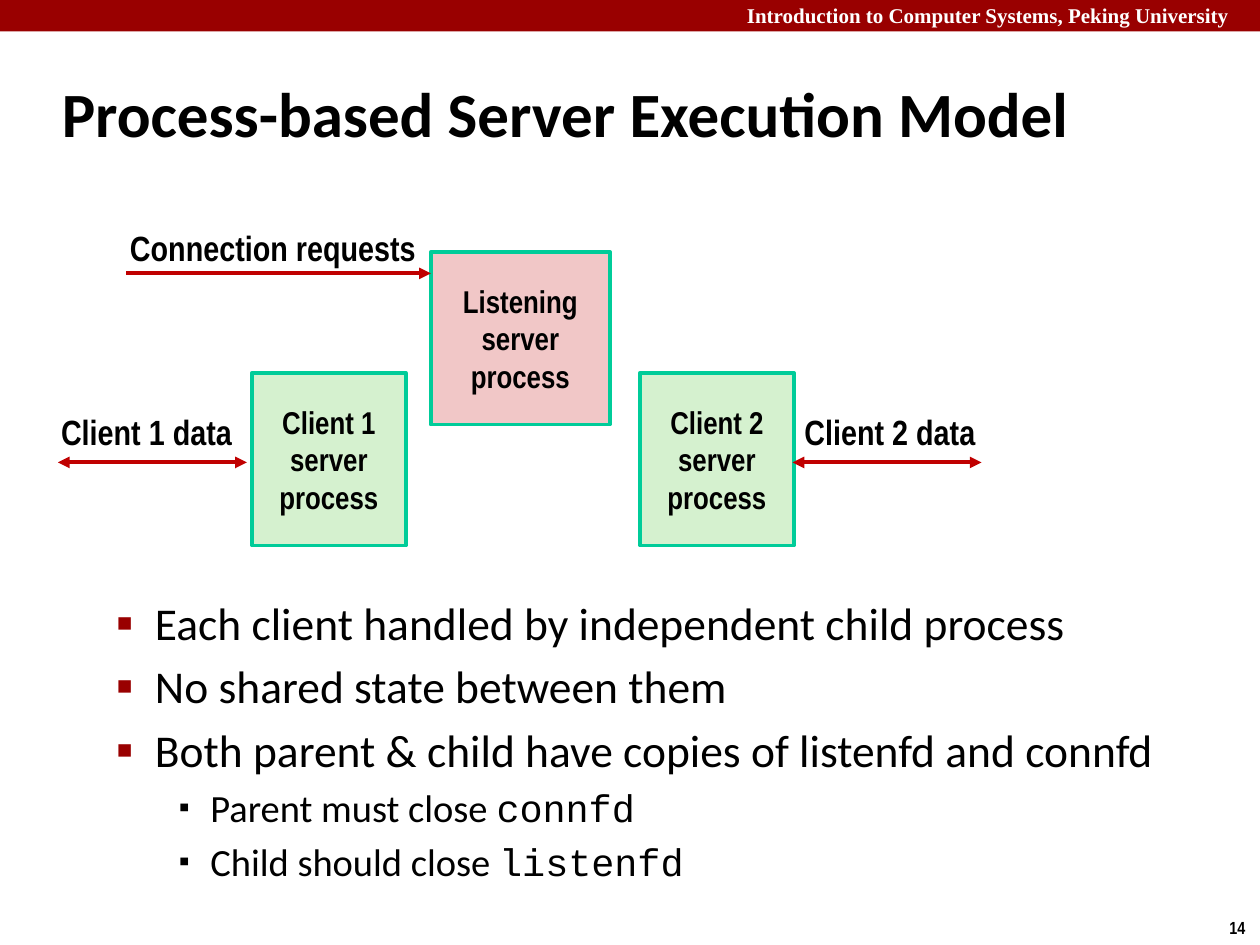
"""Build the slide on the process-based server execution model."""
from lxml.etree import SubElement
from pptx import Presentation
from pptx.dml.color import RGBColor
from pptx.enum.shapes import MSO_CONNECTOR, MSO_SHAPE
from pptx.enum.text import MSO_ANCHOR, MSO_AUTO_SIZE, PP_ALIGN
from pptx.oxml.ns import qn
from pptx.util import Inches, Pt

BLACK = RGBColor(0x00, 0x00, 0x00)
WHITE = RGBColor(0xFF, 0xFF, 0xFF)
DARK_RED = RGBColor(0x99, 0x00, 0x00)
ARROW_RED = RGBColor(0xC0, 0x00, 0x00)
TEAL = RGBColor(0x00, 0xCC, 0x99)
GREEN = RGBColor(0xD5, 0xF1, 0xCF)
PINK = RGBColor(0xF1, 0xC7, 0xC7)


def add_span(para, text, size, name="Arial Narrow", bold=True, color=BLACK):
    span = para.add_run()
    span.text = text
    span.font.size = Pt(size)
    span.font.name = name
    span.font.bold = bold
    span.font.color.rgb = color


def add_rectangle(left, top, width, height, fill):
    box = page.shapes.add_shape(
        MSO_SHAPE.RECTANGLE, Inches(left), Inches(top), Inches(width), Inches(height))
    box.shadow.inherit = False
    box.fill.solid()
    box.fill.fore_color.rgb = fill
    return box


deck = Presentation()
deck.slide_width = Inches(10)
deck.slide_height = Inches(7.5)
page = deck.slides.add_slide(deck.slide_layouts[1])

banner = add_rectangle(0, 0, 10, 0.25, DARK_RED)
banner.line.fill.background()

title, body = page.placeholders
for holder, left, top, width, height in [
    (title, 0.39, 0.48, 8.3, 0.83),
    (body, 0.32, 4.67, 9.09, 2.22),
]:
    holder.left, holder.top = Inches(left), Inches(top)
    holder.width, holder.height = Inches(width), Inches(height)
    holder.text_frame.auto_size = MSO_AUTO_SIZE.NONE

title.text_frame.vertical_anchor = MSO_ANCHOR.MIDDLE
heading = title.text_frame.paragraphs[0]
heading.alignment = PP_ALIGN.LEFT
add_span(heading, "Process-based Server Execution Model", 36, "Calibri")

LEVELS = {
    1: (26, 0.81, -0.31, DARK_RED, 110),
    2: (22, 1.25, -0.25, BLACK, 80),
}
points = [
    (1, "Each client handled by independent child process", ""),
    (1, "No shared state between them", ""),
    (1, "Both parent & child have copies of listenfd and connfd", ""),
    (2, "Parent must close ", "connfd"),
    (2, "Child should close ", "listenfd"),
]
for index, (level, text, code) in enumerate(points):
    size, margin, indent, color, percent = LEVELS[level]
    para = body.text_frame.add_paragraph() if index else body.text_frame.paragraphs[0]
    para.level = level
    properties = para._p.get_or_add_pPr()
    properties.set("marL", str(Inches(margin)))
    properties.set("indent", str(Inches(indent)))
    bullet_color = SubElement(properties, qn("a:buClr"))
    SubElement(bullet_color, qn("a:srgbClr"), val=str(color))
    SubElement(properties, qn("a:buSzPct"), val=str(percent * 1000))
    SubElement(properties, qn("a:buChar"), char="▪")
    para.space_before = Pt(size * 0.2 if index else 0)
    add_span(para, text, size, "Calibri", False)
    if code:
        add_span(para, code, size, "Courier New", False)

for name, left, top, width, fill in [
    ("Client 1", 2, 2.96, 1.22, GREEN),
    ("Client 2", 5.08, 2.96, 1.22, GREEN),
    ("Listening", 3.42, 2, 1.42, PINK),
]:
    process = add_rectangle(left, top, width, 1.37, fill)
    process.line.color.rgb = TEAL
    process.line.width = Pt(2.25)
    frame = process.text_frame
    frame.word_wrap = False
    frame.vertical_anchor = MSO_ANCHOR.MIDDLE
    for index, text in enumerate([name, "server", "process"]):
        para = frame.add_paragraph() if index else frame.paragraphs[0]
        para.alignment = PP_ALIGN.CENTER
        add_span(para, text, 18)

for start, end, height, ends in [
    (1, 3.42, 2.17, ["tailEnd"]),
    (0.46, 1.96, 3.67, ["headEnd", "tailEnd"]),
    (7.79, 6.29, 3.67, ["headEnd", "tailEnd"]),
]:
    arrow = page.shapes.add_connector(
        MSO_CONNECTOR.STRAIGHT, Inches(start), Inches(height), Inches(end), Inches(height))
    arrow.line.color.rgb = ARROW_RED
    arrow.line.width = Pt(2.25)
    for tag in ends:
        SubElement(arrow.line._get_or_add_ln(), qn(f"a:{tag}"), type="triangle")
    SubElement(arrow._element.spPr, qn("a:effectLst"))

for text, left, top, width, height, size, name, color, align, wrap in [
    ("Introduction to Computer Systems, Peking University",
     5.83, -0.03, 4.24, 0.3, 12, "Times New Roman", WHITE, PP_ALIGN.LEFT, True),
    ("14", 9.66, 7.23, 0.34, 0.27, 10, "Arial Narrow", BLACK, PP_ALIGN.LEFT, False),
    ("Connection requests",
     0.91, 1.75, 2.49, 0.44, 20, "Arial Narrow", BLACK, PP_ALIGN.RIGHT, False),
    ("Client 1 data", 0.37, 3.21, 1.57, 0.44, 20, "Arial Narrow", BLACK, PP_ALIGN.RIGHT, False),
    ("Client 2 data", 6.27, 3.21, 1.57, 0.44, 20, "Arial Narrow", BLACK, PP_ALIGN.RIGHT, False),
]:
    label = page.shapes.add_textbox(Inches(left), Inches(top), Inches(width), Inches(height))
    label.text_frame.word_wrap = wrap
    para = label.text_frame.paragraphs[0]
    para.alignment = align
    add_span(para, text, size, name, color=color)

deck.save("out.pptx")
